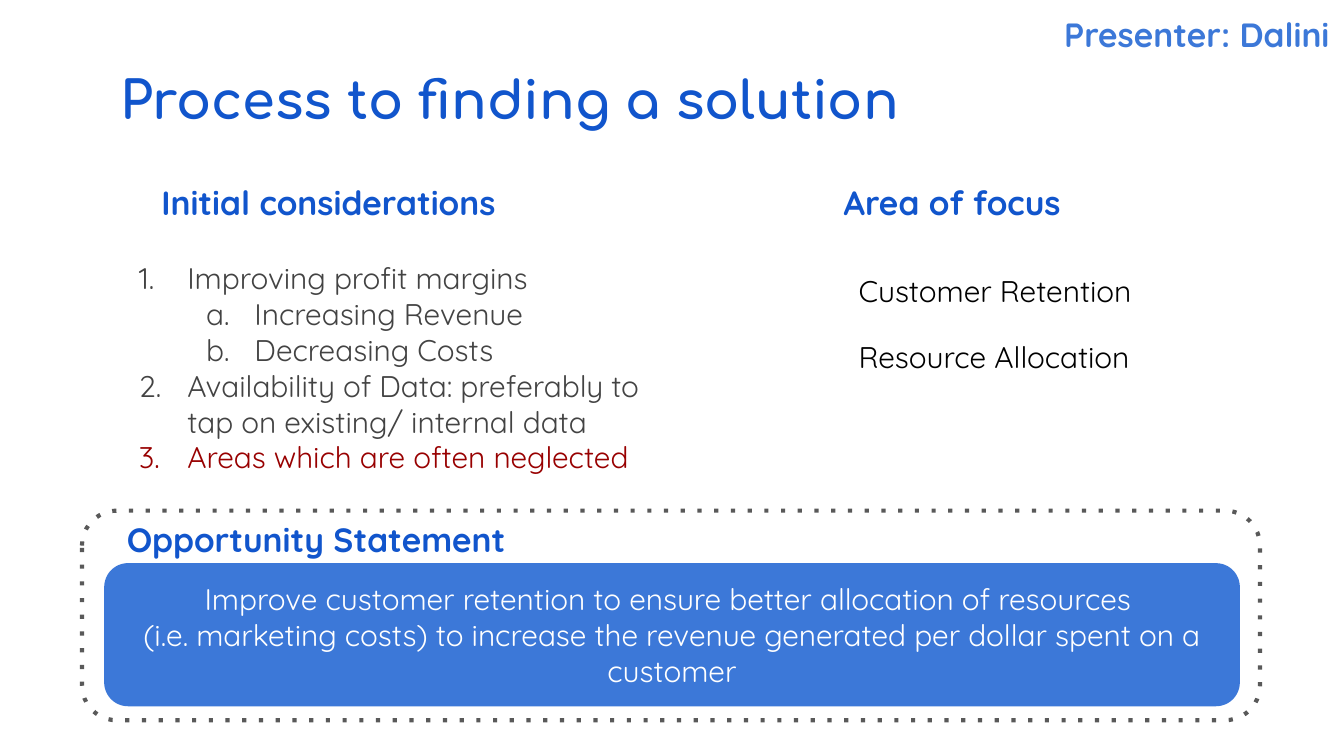
"""Builds the slide on the process to finding a solution."""
from dataclasses import dataclass

from lxml.etree import SubElement
from pptx import Presentation
from pptx.dml.color import RGBColor
from pptx.enum.dml import MSO_LINE
from pptx.enum.shapes import MSO_SHAPE
from pptx.enum.text import MSO_ANCHOR, MSO_AUTO_SIZE, PP_ALIGN
from pptx.oxml.ns import qn
from pptx.util import Pt

EMU_PER_PX = 4572


def px(n):
    return n * EMU_PER_PX


@dataclass(frozen=True)
class Theme:
    heading_font: str = "Comfortaa"
    body_font: str = "Quicksand"
    title: int = 28
    heading: int = 18
    body: int = 16
    navy: str = "1155CC"
    blue: str = "3C78D8"
    grey: str = "434343"
    outline: str = "595959"
    red: str = "980000"
    black: str = "000000"
    white: str = "FFFFFF"


def write(p, text, font, size, color, bold=False, align=PP_ALIGN.LEFT, before=0, after=0):
    p.alignment = align
    p.space_before, p.space_after = Pt(before), Pt(after)
    r = p.add_run()
    r.text = text
    r.font.name, r.font.size, r.font.bold = font, Pt(size), bold
    r.font.color.rgb = RGBColor.from_string(color)


class Deck:
    def __init__(self, theme, width, height):
        self.theme = theme
        self.prs = Presentation()
        self.prs.slide_width, self.prs.slide_height = px(width), px(height)
        self.s = self.prs.slides.add_slide(self.prs.slide_layouts[5])

    def frame(self, sp, anchor=MSO_ANCHOR.TOP):
        tf = sp.text_frame
        tf.word_wrap, tf.auto_size = True, MSO_AUTO_SIZE.NONE
        tf.vertical_anchor = anchor
        tf.margin_left = tf.margin_right = tf.margin_top = tf.margin_bottom = px(20)
        return tf

    def paragraphs(self, tf, count):
        return [tf.paragraphs[0]] + [tf.add_paragraph() for _ in range(count - 1)]

    def title(self, text, *box):
        sp = self.s.shapes.title
        sp.left, sp.top, sp.width, sp.height = map(px, box)
        t = self.theme
        write(self.frame(sp).paragraphs[0], text, t.heading_font, t.title, t.navy, bold=True)

    def text_box(self, *box):
        return self.frame(self.s.shapes.add_textbox(*map(px, box)))

    def heading(self, text, *box, color=None, align=PP_ALIGN.CENTER):
        t = self.theme
        write(self.text_box(*box).paragraphs[0], text, t.body_font, t.heading,
              color or t.navy, bold=True, align=align)

    def numbered_list(self, items, *box):
        t = self.theme
        for p, (level, text, color) in zip(self.paragraphs(self.text_box(*box), len(items)), items):
            p.level = level
            pPr = p._p.get_or_add_pPr()
            pPr.set("marL", str(px(100 * (level + 1))))
            pPr.set("indent", str(px(-72)))
            SubElement(SubElement(pPr, qn("a:buClr")), qn("a:srgbClr"), val=color)
            SubElement(pPr, qn("a:buFont"), typeface=t.body_font)
            SubElement(pPr, qn("a:buAutoNum"), type=("arabicPeriod", "alphaLcPeriod")[level])
            write(p, text, t.body_font, t.body, color)

    def plain_list(self, items, *box):
        t = self.theme
        for i, p in enumerate(self.paragraphs(self.text_box(*box), len(items))):
            p._p.get_or_add_pPr().set("marL", str(px(100)))
            write(p, items[i], t.body_font, t.body, t.black, before=t.body if i else 0)

    def rounded(self, *box):
        sp = self.s.shapes.add_shape(MSO_SHAPE.ROUNDED_RECTANGLE, *map(px, box))
        sp.shadow.inherit = False
        return sp

    def dotted_frame(self, *box):
        sp = self.rounded(*box)
        sp.fill.background()
        sp.line.color.rgb = RGBColor.from_string(self.theme.outline)
        sp.line.width = Pt(2.25)
        sp.line.dash_style = MSO_LINE.ROUND_DOT
        sp._element.spPr.find(".//" + qn("a:prstDash")).set("val", "dot")

    def panel(self, lines, *box):
        t = self.theme
        sp = self.rounded(*box)
        sp.fill.solid()
        sp.fill.fore_color.rgb = RGBColor.from_string(t.blue)
        sp.line.fill.background()
        tf = self.frame(sp, MSO_ANCHOR.MIDDLE)
        for p, text in zip(self.paragraphs(tf, len(lines)), lines):
            write(p, text, t.body_font, t.body, t.white, align=PP_ALIGN.CENTER)


def main():
    t = Theme()
    deck = Deck(t, 2000, 1125)
    deck.dotted_frame(122, 760, 1753, 312)
    deck.title("Process to finding a solution", 159, 80, 1692, 126)
    deck.heading("Initial considerations", 159, 251, 660, 102)
    deck.numbered_list([
        (0, "Improving profit margins", t.grey),
        (1, "Increasing Revenue", t.grey),
        (1, "Decreasing Costs", t.grey),
        (0, "Availability of Data: preferably to tap on existing/ internal data", t.grey),
        (0, "Areas which are often neglected", t.red),
    ], 159, 367, 876, 388)
    deck.heading("Area of focus", 1177, 251, 480, 102)
    deck.plain_list(["Customer Retention", "Resource Allocation"], 1158, 386, 742, 188)
    deck.panel([
        "Improve customer retention to ensure better allocation of resources ",
        "(i.e. marketing costs) to increase the revenue generated per dollar spent on a customer",
    ], 155, 838, 1690, 213)
    deck.heading("Opportunity Statement", 169, 752, 684, 102, align=PP_ALIGN.LEFT)
    deck.heading("Presenter: Dalini", 1562, 1, 438, 106, color=t.blue)
    deck.prs.save("out.pptx")


if __name__ == "__main__":
    main()
